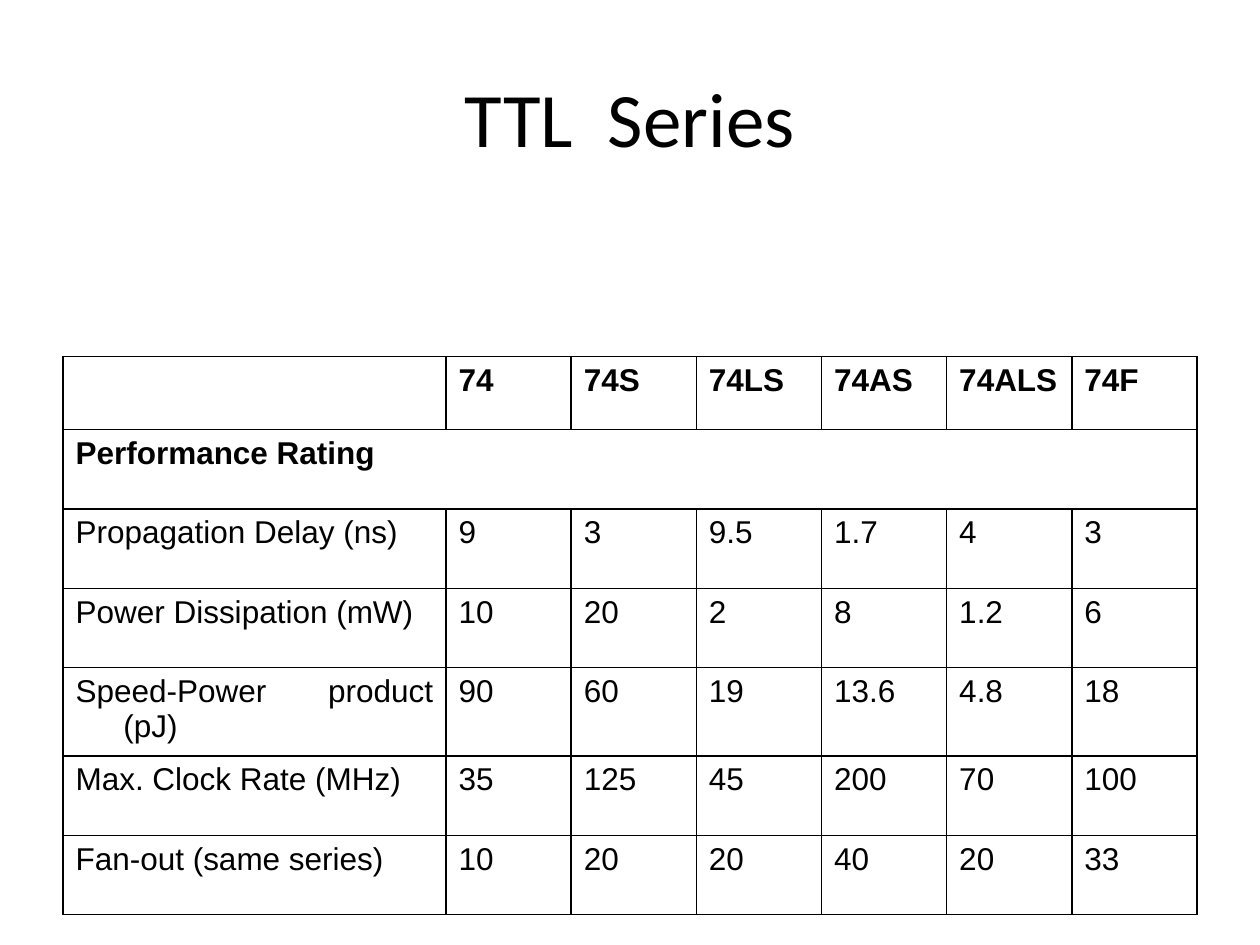
import pptx
import pptx.dml.color
import pptx.enum.text
import pptx.oxml.ns
import pptx.util
from lxml import etree

Inches = pptx.util.Inches
Pt = pptx.util.Pt
Align = pptx.enum.text.PP_ALIGN
Anchor = pptx.enum.text.MSO_ANCHOR


def colour(value):
    return pptx.dml.color.RGBColor.from_string(value)


class SlideBuilder:
    ink = "000000"
    title_font = "Calibri"
    table_font = "Arial"
    title_size = 44
    table_size = 18
    border_width = 1
    hanging_indent = 0.38

    def __init__(self, slide):
        self.slide = slide

    def add_run(self, paragraph, text, font_name, size, bold=False):
        run = paragraph.add_run()
        run.text = text
        run.font.name = font_name
        run.font.size = Pt(size)
        run.font.bold = bold
        run.font.color.rgb = colour(self.ink)

    def add_title(self, text, left, top, width, height):
        shape = self.slide.shapes.add_textbox(
            Inches(left), Inches(top), Inches(width), Inches(height))
        frame = shape.text_frame
        frame.word_wrap = True
        frame.vertical_anchor = Anchor.MIDDLE
        paragraph = frame.paragraphs[0]
        paragraph.alignment = Align.CENTER
        self.add_run(paragraph, text, self.title_font, self.title_size)

    def add_borders(self, cell):
        properties = cell._tc.get_or_add_tcPr()
        qn = pptx.oxml.ns.qn
        for side in ("lnL", "lnR", "lnT", "lnB"):
            line = etree.SubElement(properties, qn(f"a:{side}"), w=str(Pt(self.border_width)))
            fill = etree.SubElement(line, qn("a:solidFill"))
            etree.SubElement(fill, qn("a:srgbClr"), val=self.ink)

    def fill_cell(self, cell, text, bold):
        self.add_borders(cell)
        cell.fill.background()
        if not text:
            return
        cell.margin_left = cell.margin_right = Inches(0.1)
        cell.margin_top = cell.margin_bottom = Inches(0.05)
        paragraph = cell.text_frame.paragraphs[0]
        paragraph.alignment = Align.JUSTIFY
        properties = paragraph._p.get_or_add_pPr()
        properties.set("marL", str(Inches(self.hanging_indent)))
        properties.set("indent", str(-Inches(self.hanging_indent)))
        self.add_run(paragraph, text, self.table_font, self.table_size, bold)

    def add_table(self, rows, left, top, widths, heights, bold_rows, merged_row):
        table = self.slide.shapes.add_table(
            len(rows), len(widths), Inches(left), Inches(top),
            Inches(sum(widths)), Inches(sum(heights))).table
        table.first_row = False
        table.horz_banding = False
        for column, width in zip(table.columns, widths):
            column.width = Inches(width)
        for row, height in zip(table.rows, heights):
            row.height = Inches(height)
        last_column = len(widths) - 1
        table.cell(merged_row, 0).merge(table.cell(merged_row, last_column))
        for row_index, values in enumerate(rows):
            for column_index in range(len(widths)):
                text = values[column_index] if column_index < len(values) else ""
                self.fill_cell(table.cell(row_index, column_index), text, row_index < bold_rows)


def main():
    presentation = pptx.Presentation()
    presentation.slide_width = Inches(10)
    presentation.slide_height = Inches(7.5)
    builder = SlideBuilder(presentation.slides.add_slide(presentation.slide_layouts[6]))

    builder.add_title("TTL  Series", 0.5, 0.3, 9, 1.25)

    ratings = [
        ["", "74", "74S", "74LS", "74AS", "74ALS", "74F"],
        ["Performance Rating"],
        ["Propagation Delay (ns)", "9", "3", "9.5", "1.7", "4", "3"],
        ["Power Dissipation (mW)", "10", "20", "2", "8", "1.2", "6"],
        ["Speed-Power product (pJ)", "90", "60", "19", "13.6", "4.8", "18"],
        ["Max. Clock Rate (MHz)", "35", "125", "45", "200", "70", "100"],
        ["Fan-out (same series)", "10", "20", "20", "40", "20", "33"],
    ]
    label_width = 3.04
    series_count = len(ratings[0]) - 1
    widths = [label_width] + [(9 - label_width) / series_count] * series_count
    heights = [0.58, 0.63, 0.63, 0.63, 0.7, 0.63, 0.63]
    builder.add_table(ratings, 0.5, 2.83, widths, heights, bold_rows=2, merged_row=1)

    presentation.save("out.pptx")


if __name__ == "__main__":
    main()
